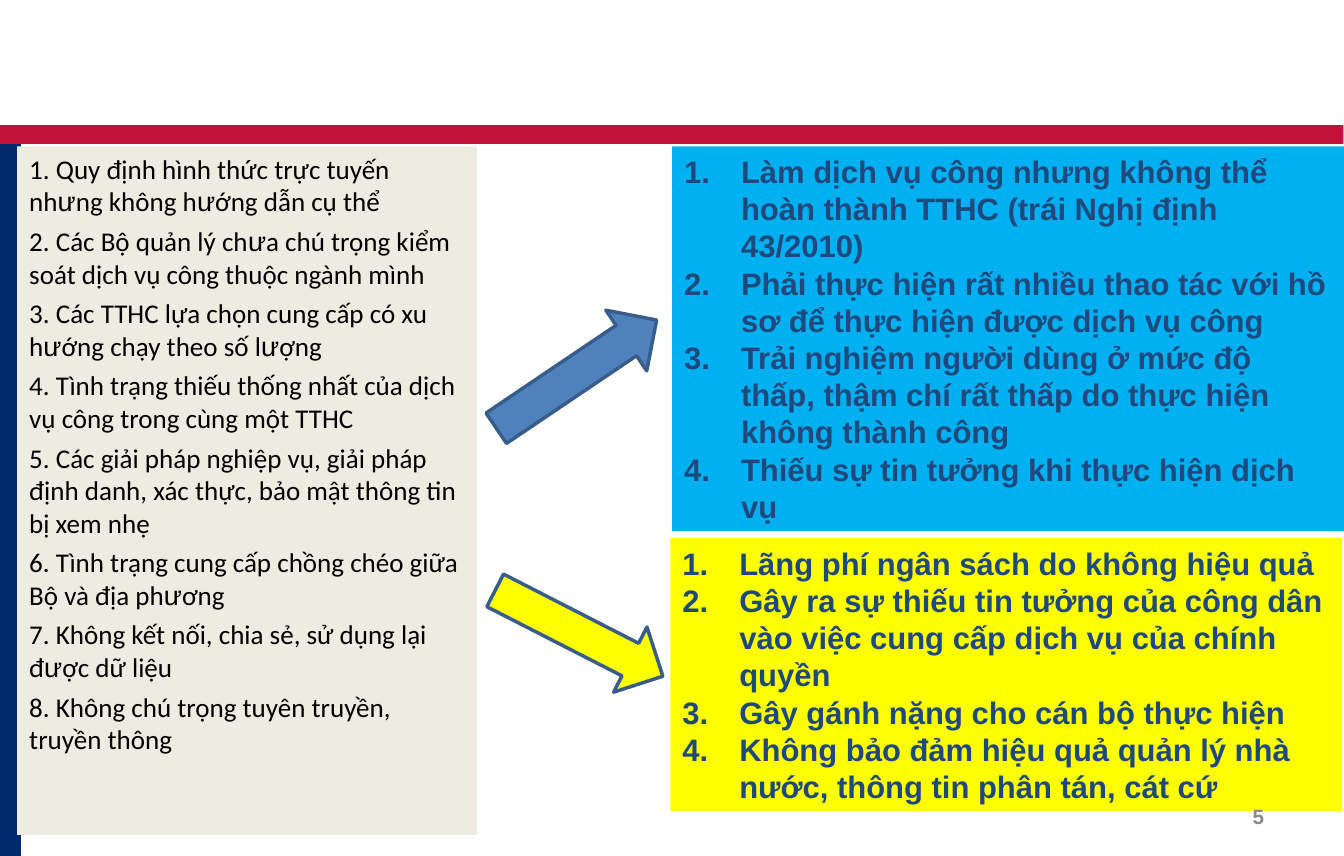
from dataclasses import dataclass
from itertools import groupby

from lxml.etree import SubElement
from pptx import Presentation
from pptx.dml.color import RGBColor
from pptx.enum.shapes import MSO_SHAPE
from pptx.enum.text import MSO_ANCHOR, MSO_AUTO_SIZE, PP_ALIGN
from pptx.oxml.ns import qn
from pptx.util import Pt

NAVY = RGBColor(0x00, 0x2A, 0x6C)
RED = RGBColor(0xC2, 0x11, 0x3A)
CREAM = RGBColor(0xEE, 0xEC, 0xE1)
SKY = RGBColor(0x00, 0xB0, 0xF0)
YELLOW = RGBColor(0xFF, 0xFF, 0x00)
STEEL = RGBColor(0x4F, 0x81, 0xBD)
OUTLINE = RGBColor(0x38, 0x5D, 0x8A)
INK = RGBColor(0x1F, 0x49, 0x7D)
BLACK = RGBColor(0x00, 0x00, 0x00)
GREY = RGBColor(0x89, 0x89, 0x89)

PAGE_WIDTH = Pt(780.38)
PAGE_HEIGHT = Pt(497)
HANGING_INDENT = Pt(33)


@dataclass
class Box:
    left: float
    top: float
    width: float
    height: float
    fill: RGBColor


@dataclass
class Arrow(Box):
    rotation: float


@dataclass
class EffectPanel(Box):
    items: list[str]


CAUSES = [
    "1. Quy định hình thức trực tuyến nhưng không hướng dẫn cụ thể",
    "2. Các Bộ quản lý chưa chú trọng kiểm soát dịch vụ công thuộc ngành mình",
    "3. Các TTHC lựa chọn cung cấp có xu hướng chạy theo số lượng",
    "4. Tình trạng thiếu thống nhất của dịch vụ công trong cùng một TTHC",
    "5. Các giải pháp nghiệp vụ, giải pháp định danh, xác thực, bảo mật thông tin bị xem nhẹ",
    "6. Tình trạng cung cấp chồng chéo giữa Bộ và địa phương",
    "7. Không kết nối, chia sẻ, sử dụng lại được dữ liệu",
    "8. Không chú trọng tuyên truyền, truyền thông",
]
BANDS = [
    Box(0, 81.4, 12.2, 416.9, NAVY),
    Box(0, 72.7, 780, 10.8, RED),
]
CAUSE_PANEL = Box(9.9, 85, 267, 399.8, CREAM)
EFFECT_PANELS = [
    EffectPanel(390.2, 85, 390.2, 223.4, SKY, [
        "Làm dịch vụ công nhưng không thể hoàn thành TTHC (trái Nghị định 43/2010)",
        "Phải thực hiện rất nhiều thao tác với hồ sơ để thực hiện được dịch vụ công",
        "Trải nghiệm người dùng ở mức độ thấp, thậm chí rất thấp do thực hiện không thành công",
        "Thiếu sự tin tưởng khi thực hiện dịch vụ",
    ]),
    EffectPanel(389.2, 312.5, 390.2, 158.4, YELLOW, [
        "Lãng phí ngân sách do không hiệu quả",
        "Gây ra sự thiếu tin tưởng của công dân vào việc cung cấp dịch vụ của chính quyền",
        "Gây gánh nặng cho cán bộ thực hiện",
        "Không bảo đảm hiệu quả quản lý nhà nước, thông tin phân tán, cát cứ",
    ]),
]
ARROWS = [
    Arrow(278.6, 196, 112.3, 42.5, STEEL, 326),
    Arrow(281.5, 346.5, 109.4, 42.5, YELLOW, 27.1),
]


def add_box(page, box: Box, kind=MSO_SHAPE.RECTANGLE):
    shape = page.shapes.add_shape(
        kind, Pt(box.left), Pt(box.top), Pt(box.width), Pt(box.height))
    shape.shadow.inherit = False
    shape.fill.solid()
    shape.fill.fore_color.rgb = box.fill
    shape.line.fill.background()
    return shape


def style(span, name: str, size: float, color: RGBColor, bold: bool = False) -> None:
    span.font.name = name
    span.font.size = Pt(size)
    span.font.color.rgb = color
    span.font.bold = bold


def number(para) -> None:
    """Give the paragraph a hanging automatic number."""
    properties = para._p.get_or_add_pPr()
    properties.set("marL", str(HANGING_INDENT))
    properties.set("indent", str(-HANGING_INDENT))
    color = SubElement(properties, qn("a:buClr"))
    SubElement(color, qn("a:srgbClr"), val=str(INK))
    SubElement(properties, qn("a:buFont"), typeface="Arial")
    SubElement(properties, qn("a:buAutoNum"), type="arabicPeriod")


def add_cause_panel(page) -> None:
    frame = add_box(page, CAUSE_PANEL).text_frame
    frame.word_wrap = True
    frame.vertical_anchor = MSO_ANCHOR.TOP
    frame.text = "\n".join(CAUSES)
    for para, cause in zip(frame.paragraphs, CAUSES):
        para.alignment = PP_ALIGN.LEFT
        para.space_before = Pt(4.2)
        para.text = ""
        # The letter ư is set in Arial, all else in Calibri
        for is_horned, letters in groupby(cause, lambda letter: letter == "ư"):
            span = para.add_run()
            span.text = "".join(letters)
            style(span, "Arial" if is_horned else "Calibri", 15.7, BLACK)


def add_effect_panel(page, panel: EffectPanel) -> None:
    frame = add_box(page, panel).text_frame
    frame.word_wrap = True
    frame.auto_size = MSO_AUTO_SIZE.SHAPE_TO_FIT_TEXT
    frame.vertical_anchor = MSO_ANCHOR.TOP
    frame.text = "\n".join(panel.items)
    for para in frame.paragraphs:
        para.alignment = PP_ALIGN.LEFT
        number(para)
        style(para.runs[0], "Arial", 18, INK, bold=True)


def add_arrow(page, arrow: Arrow) -> None:
    shape = add_box(page, arrow, MSO_SHAPE.RIGHT_ARROW)
    shape.rotation = arrow.rotation
    shape.line.color.rgb = OUTLINE
    shape.line.width = Pt(2)


def add_page_number(page) -> None:
    frame = page.shapes.add_textbox(Pt(558.9), Pt(460.4), Pt(182.2), Pt(26.6)).text_frame
    frame.word_wrap = True
    frame.vertical_anchor = MSO_ANCHOR.MIDDLE
    frame.text = "5"
    para = frame.paragraphs[0]
    para.alignment = PP_ALIGN.RIGHT
    style(para.runs[0], "Arial", 12, GREY, bold=True)


def main() -> None:
    deck = Presentation()
    deck.slide_width, deck.slide_height = PAGE_WIDTH, PAGE_HEIGHT
    page = deck.slides.add_slide(deck.slide_layouts[6])

    # Frame bands
    for band in BANDS:
        add_box(page, band)

    # Causes on the left, effects on the right
    add_cause_panel(page)
    for panel in EFFECT_PANELS:
        add_effect_panel(page, panel)

    # Arrows from causes to effects
    for arrow in ARROWS:
        add_arrow(page, arrow)

    add_page_number(page)
    deck.save("out.pptx")


if __name__ == "__main__":
    main()
